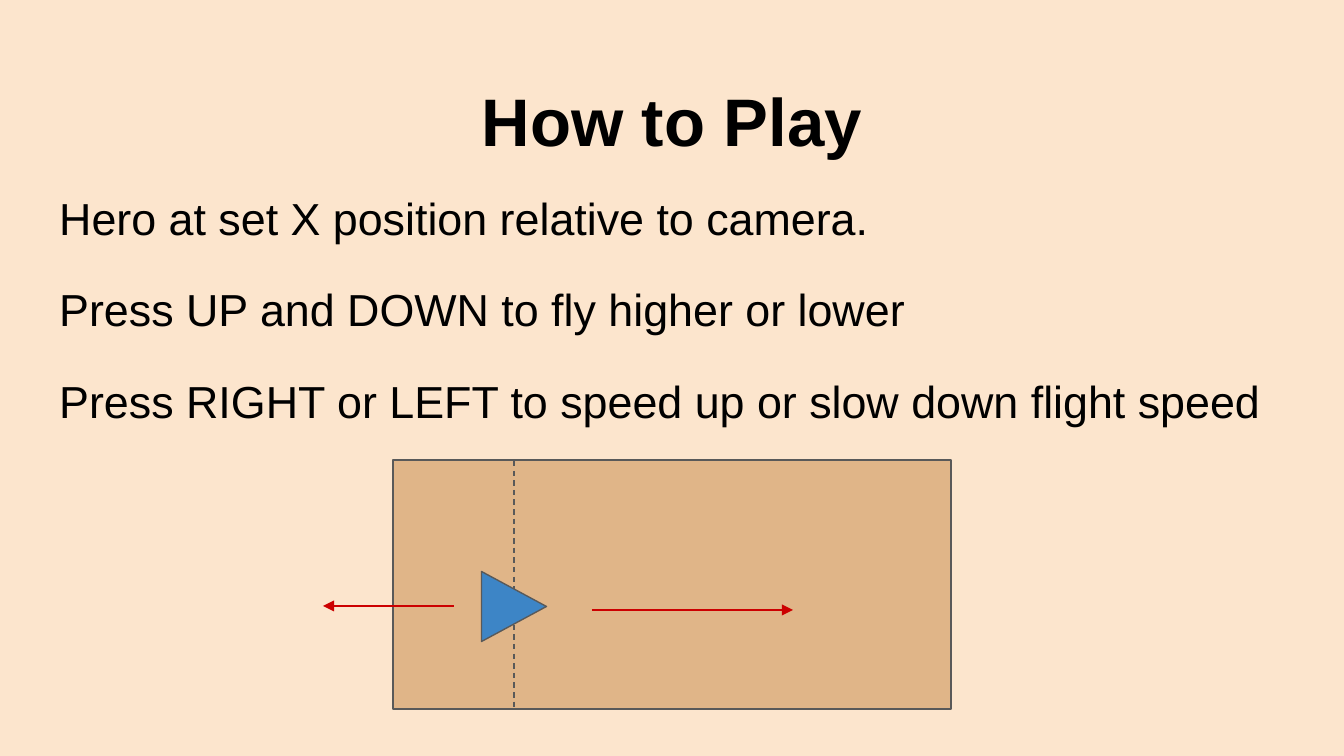
from pptx import Presentation
from pptx.dml.color import RGBColor
from pptx.enum.dml import MSO_LINE
from pptx.enum.shapes import MSO_CONNECTOR, MSO_SHAPE
from pptx.enum.text import MSO_ANCHOR, PP_ALIGN
from pptx.oxml.ns import qn
from pptx.util import Emu, Inches, Pt
from lxml.etree import SubElement

CREAM = RGBColor(0xFC, 0xE5, 0xCD)
TAN = RGBColor(0xCD, 0x94, 0x59)
BLUE = RGBColor(0x3D, 0x85, 0xC6)
GREY = RGBColor(0x59, 0x59, 0x59)
RED = RGBColor(0xCC, 0x00, 0x00)
BLACK = RGBColor(0, 0, 0)

W, H = 1344, 756
MARGIN = 46
TITLE = "How to Play"
RULES = [
    "Hero at set X position relative to camera.",
    "Press UP and DOWN to fly higher or lower",
    "Press RIGHT or LEFT to speed up or slow down flight speed",
]
CAMERA = (393, 460, 558, 249)
HERO = (479, 574, 70, 65)
HERO_LINE = (514, 461, 514, 709)
SPEED_ARROWS = [(592, 610, 793, 610), (454, 606, 323, 606)]


def px(*values):
    return [Emu(round(v * 914400 / 134.4)) for v in values]


def add_text(s, box, lines, size, bold=False, align=PP_ALIGN.LEFT, spacing=None, after=None):
    tf = s.shapes.add_textbox(*px(*box)).text_frame
    tf.word_wrap = True
    tf.vertical_anchor = MSO_ANCHOR.TOP
    tf.margin_left = tf.margin_right = tf.margin_top = tf.margin_bottom = Inches(0.1)
    for i, line in enumerate(lines):
        p = tf.add_paragraph() if i else tf.paragraphs[0]
        p.alignment = align
        p.line_spacing = spacing
        p.space_after = after
        r = p.add_run()
        r.text = line
        r.font.name = "Arial"
        r.font.size = Pt(size)
        r.font.bold = bold
        r.font.color.rgb = BLACK


def add_figure(s, kind, box, color):
    sp = s.shapes.add_shape(kind, *px(*box))
    sp.shadow.inherit = False
    sp.fill.solid()
    sp.fill.fore_color.rgb = color
    sp.line.color.rgb = GREY
    sp.line.width = Pt(0.75)
    return sp


def add_line(s, ends, color):
    cx = s.shapes.add_connector(MSO_CONNECTOR.STRAIGHT, *px(*ends))
    cx.line.color.rgb = color
    cx.line.width = Pt(0.75)
    SubElement(cx._element.spPr, qn("a:effectLst"))
    return cx


prs = Presentation()
prs.slide_width, prs.slide_height = px(W, H)
s = prs.slides.add_slide(prs.slide_layouts[6])
s.background.fill.solid()
s.background.fill.fore_color.rgb = CREAM

add_text(s, (MARGIN, 66, W - 2 * MARGIN, 85), [TITLE], 36, bold=True, align=PP_ALIGN.CENTER)
add_text(s, (MARGIN, 169, W - 2 * MARGIN, 503), RULES, 24, spacing=1.15, after=Pt(16))

camera = add_figure(s, MSO_SHAPE.RECTANGLE, CAMERA, TAN)
tint = camera._element.spPr.find(qn("a:solidFill"))[0]
SubElement(tint, qn("a:alpha"), val="59000")

add_line(s, HERO_LINE, GREY).line.dash_style = MSO_LINE.DASH
hero = add_figure(s, MSO_SHAPE.ISOSCELES_TRIANGLE, HERO, BLUE)
hero.rotation = 90

for ends in SPEED_ARROWS:
    arrow = add_line(s, ends, RED)
    SubElement(arrow.line._get_or_add_ln(), qn("a:tailEnd"), type="triangle", w="med", len="med")

prs.save("out.pptx")
